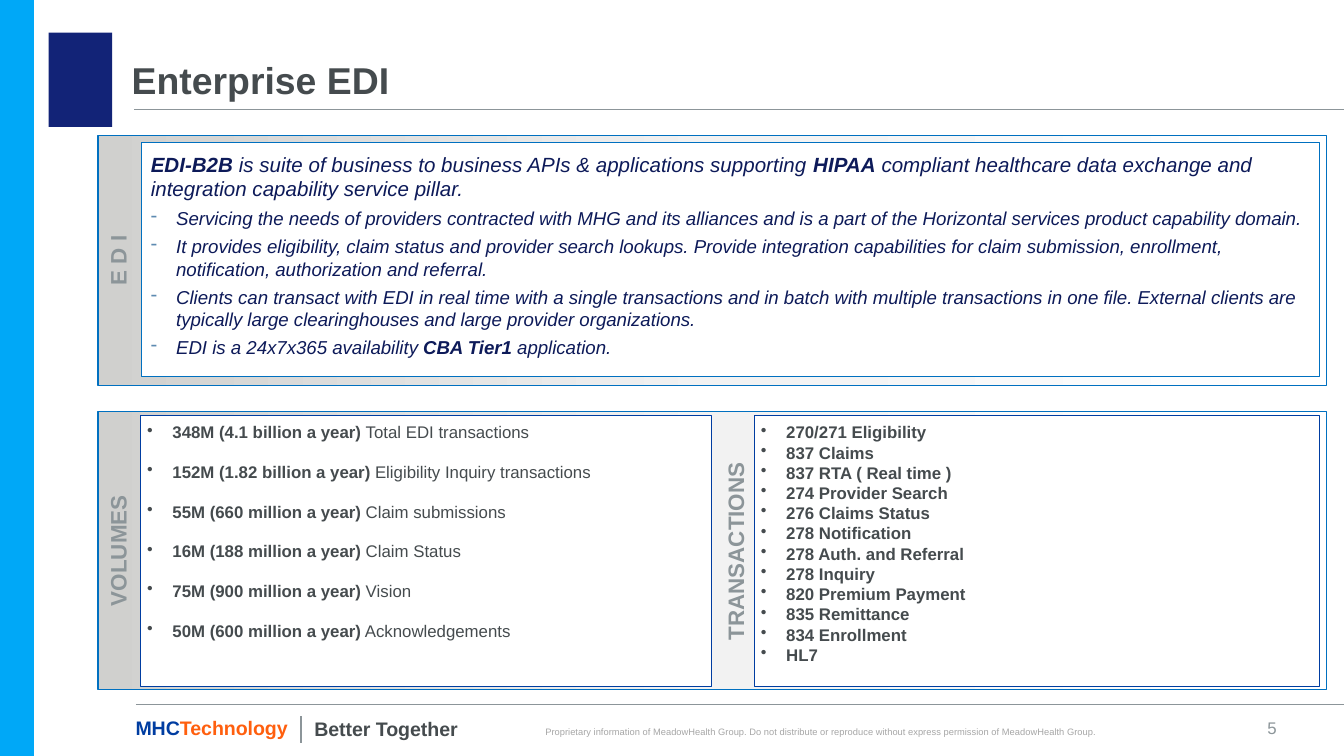
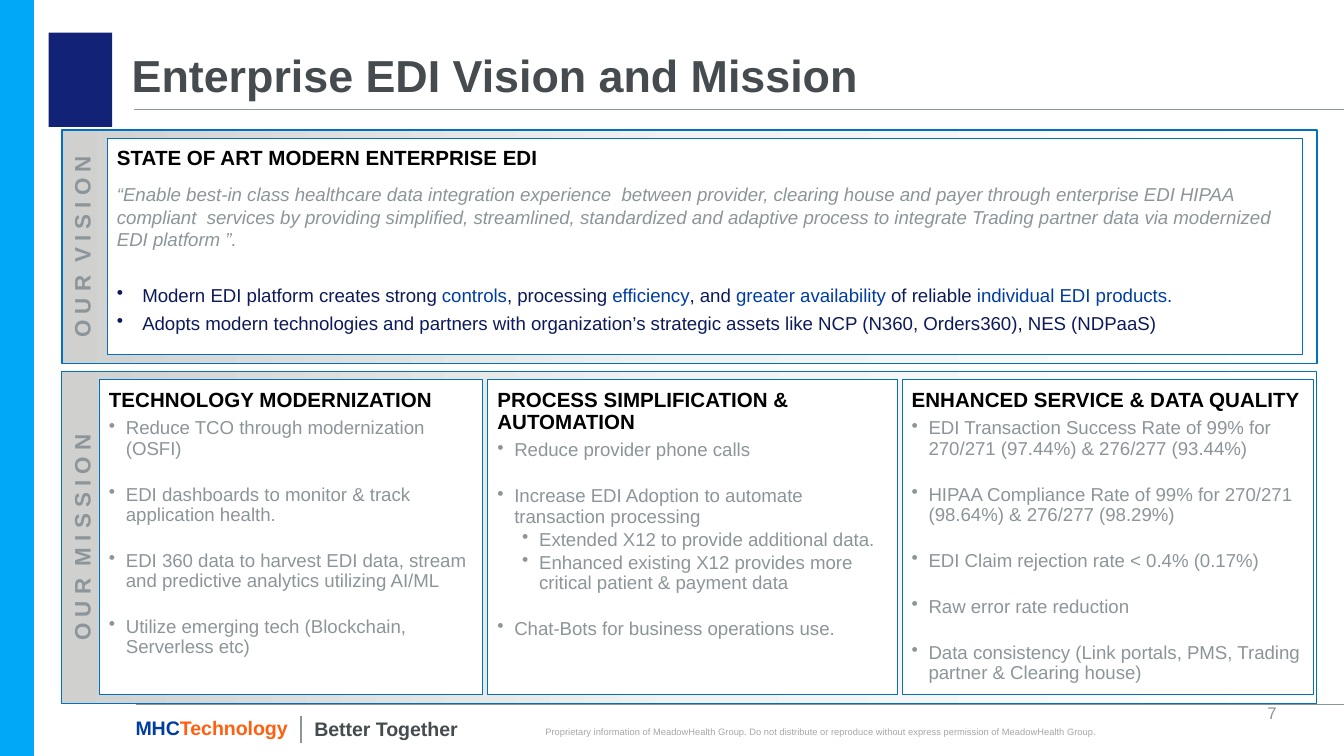
from copy import deepcopy

from lxml.etree import SubElement
from pptx import Presentation
from pptx.dml.color import RGBColor
from pptx.enum.shapes import MSO_CONNECTOR, MSO_SHAPE
from pptx.enum.text import MSO_ANCHOR, PP_ALIGN
from pptx.oxml.ns import qn
from pptx.util import Cm, Pt

C = {
    "sky": "00A8F7", "navy": "122377", "orange": "FF5F0E", "royal": "003DA1",
    "edge": "0070C0", "ink": "0D1A59", "dark": "454B4E", "grey": "8C9599",
    "pale": "A6A6A6", "dash": "5D8AB1", "black": "000000", "white": "FFFFFF",
    "fade1": "D0D0CE", "fade2": "F2F2F2",
}


def add_box(s, x, y, w, h, fill=None, line=None, width=0.5, inset=(0, 0, 0, 0),
            anchor=MSO_ANCHOR.TOP, vertical=False):
    """Add a rectangle, or a text box when there is no fill; fill "fade" is a gradient."""
    place = Cm(x), Cm(y), Cm(w), Cm(h)
    if fill is None:
        sp = s.shapes.add_textbox(*place)
    else:
        sp = s.shapes.add_shape(MSO_SHAPE.RECTANGLE, *place)
        sp.shadow.inherit = False
        if fill == "fade":
            sp.fill.gradient()
            sp.fill.gradient_angle = 0
            stops = sp._element.spPr.find(qn("a:gradFill")).find(qn("a:gsLst"))
            stops.append(deepcopy(stops[0]))
            for i, (stop, name) in enumerate(zip(sp.fill.gradient_stops, ("fade1", "fade2", "white"))):
                stop.color.rgb = RGBColor.from_string(C[name])
                stop.position = i / 2
        else:
            sp.fill.solid()
            sp.fill.fore_color.rgb = RGBColor.from_string(C[fill])
        if line:
            sp.line.color.rgb = RGBColor.from_string(C[line])
            sp.line.width = Pt(width)
        else:
            sp.line.fill.background()
    tf = sp.text_frame
    tf.word_wrap = True
    tf.vertical_anchor = anchor
    tf.margin_left, tf.margin_top, tf.margin_right, tf.margin_bottom = [Cm(m) for m in inset]
    if vertical:
        tf._txBody.bodyPr.set("vert", "vert270")
    return tf


def add_par(tf, runs, size, color, bold=False, italic=False, align=PP_ALIGN.LEFT, spacing=1.0,
            before=0, after=0, bullet=None, bullet_color=None, left=0.48, hang=0.48):
    """Add a paragraph; runs is a string or a list of (text, color, bold)."""
    p = tf.paragraphs[0] if not tf.text else tf.add_paragraph()
    p.alignment, p.line_spacing = align, spacing
    p.space_before, p.space_after = Pt(before), Pt(after)
    if bullet:
        pPr = p._p.get_or_add_pPr()
        pPr.set("marL", str(Cm(left)))
        pPr.set("indent", str(-Cm(hang)))
        if bullet_color:
            SubElement(SubElement(pPr, qn("a:buClr")), qn("a:srgbClr")).set("val", C[bullet_color])
        SubElement(pPr, qn("a:buChar")).set("char", bullet)
    for text, run_color, run_bold in [(runs, color, bold)] if isinstance(runs, str) else runs:
        r = p.add_run()
        r.text = text
        r.font.name, r.font.size = "Arial", Pt(size)
        r.font.bold, r.font.italic = run_bold, italic
        r.font.color.rgb = RGBColor.from_string(C[run_color])


prs = Presentation()
prs.slide_width, prs.slide_height = Cm(25.4), Cm(14.29)

DEFAULT = (0.25, 0.13, 0.25, 0.13)
PANEL = (0.18, 0.18, 0.18, 0.18)
LIST = (0.13, 0.13, 0, 0.13)

# Shared frame: band, emblem, rules, footer, title
slides = []
for title, title_size, number, number_y in [
    ("Enterprise EDI", 20, "5", 13.59),
    ("Enterprise EDI Vision and Mission", 24, "7", 13.31),
]:
    s = prs.slides.add_slide(prs.slide_layouts[6])
    slides.append(s)
    add_box(s, 0, 0, 0.64, 14.29, "sky")
    add_box(s, 0.92, 0.62, 1.2, 1.78, "navy")
    for x1, y1, x2, y2, width in [
        (2.54, 2.06, 25.4, 2.06, 0.5),
        (2.57, 13.31, 25.4, 13.31, 0.5),
        (5.69, 13.54, 5.69, 14.05, 0.75),
    ]:
        ln = s.shapes.add_connector(MSO_CONNECTOR.STRAIGHT, Cm(x1), Cm(y1), Cm(x2), Cm(y2))
        ln.line.color.rgb = RGBColor.from_string(C["grey"])
        ln.line.width = Pt(width)
        SubElement(ln._element.spPr, qn("a:effectLst"))
    tf = add_box(s, 9.98, 13.74, 11.1, 0.2, anchor=MSO_ANCHOR.BOTTOM)
    add_par(tf, "Proprietary information of MeadowHealth Group. Do not distribute or reproduce "
            "without express permission of MeadowHealth Group.", 5, "pale", align=PP_ALIGN.CENTER)
    tf = add_box(s, 1.96, 13.46, 3.73, 0.64, inset=DEFAULT, anchor=MSO_ANCHOR.MIDDLE)
    add_par(tf, [("MHC", "royal", True), ("Technology", "orange", True)], 10.5, "royal",
            align=PP_ALIGN.RIGHT, spacing=0.9)
    tf = add_box(s, 5.94, 13.54, 3.25, 0.46, anchor=MSO_ANCHOR.MIDDLE)
    add_par(tf, "Better Together", 10.5, "dark", True)
    tf = add_box(s, 21.16, number_y, 2.97, 0.36, anchor=MSO_ANCHOR.BOTTOM)
    add_par(tf, number, 9, "grey", align=PP_ALIGN.RIGHT)
    tf = add_box(s, 2.24, 0.61, 16.03, 1.45, inset=DEFAULT, anchor=MSO_ANCHOR.BOTTOM)
    add_par(tf, title, title_size, "dark", True, spacing=0.9)

overview, vision = slides

# Grey panels with their vertical labels
for s, label, x, y, w, h, width in [
    (overview, "E D I", 1.85, 2.56, 23.22, 4.73, 0.75),
    (overview, "VOLUMES", 1.85, 7.78, 23.22, 5.26, 0.75),
    (vision, "O U R  M I S S I O N", 1.17, 7.02, 23.72, 6.28, 0.5),
    (vision, "O U R  V I S I O N", 1.17, 2.46, 23.72, 4.41, 0.75),
]:
    tf = add_box(s, x, y, w, h, "fade", "edge", width, PANEL, vertical=True)
    add_par(tf, label, 12, "grey", True, align=PP_ALIGN.CENTER, spacing=0.9, after=4.2)

# Slide 1: what EDI is
tf = add_box(overview, 2.67, 2.69, 22.27, 4.42, "white", "edge", 0.5, PANEL)
add_par(tf, [
    ("EDI-B2B", "ink", True),
    (" is suite of business to business APIs & applications supporting ", "ink", False),
    ("HIPAA", "ink", True),
    (" compliant healthcare data exchange and integration capability service pillar.", "ink", False),
], 11, "ink", italic=True, after=3.3)
for runs in [
    "Servicing the needs of providers contracted with MHG and its alliances and is a part of the "
    "Horizontal services product capability domain.",
    "It provides eligibility, claim status and provider search lookups. Provide integration "
    "capabilities for claim submission, enrollment, notification, authorization and referral.",
    "Clients can transact with EDI in real time with a single transactions and in batch with multiple "
    "transactions in one file. External clients are typically large clearinghouses and large "
    "provider organizations.",
    [("EDI is a 24x7x365 availability ", "ink", False), ("CBA Tier1", "ink", True),
     (" application.", "ink", False)],
]:
    add_par(tf, runs, 10, "ink", italic=True, after=3, bullet="-", bullet_color="dash")

# Slide 1: volumes
tf = add_box(overview, 2.65, 7.85, 10.8, 5.13, "white", "royal", 0.25, LIST)
for volume, kind in [
    ("348M (4.1 billion a year) ", "Total EDI transactions"),
    ("152M (1.82 billion a year) ", "Eligibility Inquiry transactions"),
    ("55M (660 million a year) ", "Claim submissions"),
    ("16M (188 million a year)", " Claim Status"),
    ("75M (900 million a year)", " Vision"),
    ("50M (600 million a year)", " Acknowledgements"),
]:
    add_par(tf, [(volume, "dark", True), (kind, "dark", False)], 9, "dark", after=10.4, bullet="•")

# Slide 1: transactions
tf = add_box(overview, 14.25, 7.85, 10.69, 5.13, "white", "royal", 0.25, LIST)
for transaction in [
    "270/271 Eligibility", "837 Claims", "837 RTA ( Real time )", "274 Provider Search",
    "276 Claims Status", "278 Notification", "278 Auth. and Referral", "278 Inquiry",
    "820 Premium Payment", "835 Remittance", "834 Enrollment", "HL7",
]:
    add_par(tf, transaction, 9, "dark", True, bullet="•")
tf = add_box(overview, 13.39, 7.82, 1.02, 5.21, inset=DEFAULT, vertical=True)
add_par(tf, "TRANSACTIONS", 12, "grey", True, align=PP_ALIGN.CENTER, after=4)

# Slide 2: mission columns, each item as (level, text, space after)
TIGHT, LOOSE = 1.5, 13.8
for x, w, heading, items in [
    (1.88, 7.24, "TECHNOLOGY MODERNIZATION", [
        (0, "Reduce TCO through modernization (OSFI)", LOOSE),
        (0, "EDI dashboards to monitor & track application health.", LOOSE),
        (0, "EDI 360 data to harvest EDI data, stream and predictive analytics utilizing AI/ML", LOOSE),
        (0, "Utilize emerging tech (Blockchain, Serverless etc)", TIGHT),
    ]),
    (9.22, 7.74, "PROCESS SIMPLIFICATION & AUTOMATION", [
        (0, "Reduce provider phone calls", LOOSE),
        (0, "Increase EDI Adoption to automate transaction processing", TIGHT),
        (1, "Extended X12 to provide additional data.", TIGHT),
        (1, "Enhanced existing X12 provides more critical patient & payment data", LOOSE),
        (0, "Chat-Bots for business operations use.", TIGHT),
    ]),
    (17.05, 7.78, "ENHANCED SERVICE & DATA QUALITY", [
        (0, "EDI Transaction Success Rate of 99% for 270/271 (97.44%) & 276/277 (93.44%)", LOOSE),
        (0, "HIPAA Compliance Rate of 99% for 270/271 (98.64%) & 276/277 (98.29%)", LOOSE),
        (0, "EDI Claim rejection rate < 0.4% (0.17%)", LOOSE),
        (0, "Raw error rate reduction", LOOSE),
        (0, "Data consistency (Link portals, PMS, Trading partner & Clearing house)", TIGHT),
    ]),
]:
    tf = add_box(vision, x, 7.18, w, 5.95, "white", "edge", 0.5, PANEL)
    add_par(tf, heading, 11, "black", True, spacing=0.9, after=3.85)
    for level, text, after in items:
        add_par(tf, text, 10, "grey", spacing=0.9, after=after, bullet="•",
                left=0.32 + 0.47 * level, hang=0.32)

# Slide 2: vision statement
tf = add_box(vision, 2.03, 2.62, 22.58, 4.08, "white", "edge", 0.5, PANEL)
add_par(tf, "STATE OF ART MODERN ENTERPRISE EDI", 11, "black", True, spacing=0.9, after=3.85)
add_par(tf, "“Enable best-in class healthcare data integration experience  between provider, clearing "
        "house and payer through enterprise EDI HIPAA compliant  services by providing simplified, "
        "streamlined, standardized and adaptive process to integrate Trading partner data via "
        "modernized EDI platform ”.", 10, "grey", italic=True, before=3)
add_par(tf, [
    ("Modern EDI platform creates strong ", "ink", False), ("controls", "royal", False),
    (", processing ", "ink", False), ("efficiency", "royal", False),
    (", and ", "ink", False), ("greater availability", "royal", False),
    (" of reliable ", "ink", False), ("individual EDI products.", "royal", False),
], 10, "ink", before=18, bullet="•")
add_par(tf, "Adopts modern technologies and partners with organization’s strategic assets like "
        "NCP (N360, Orders360), NES (NDPaaS)", 10, "ink", before=3, bullet="•")

prs.save("out.pptx")
